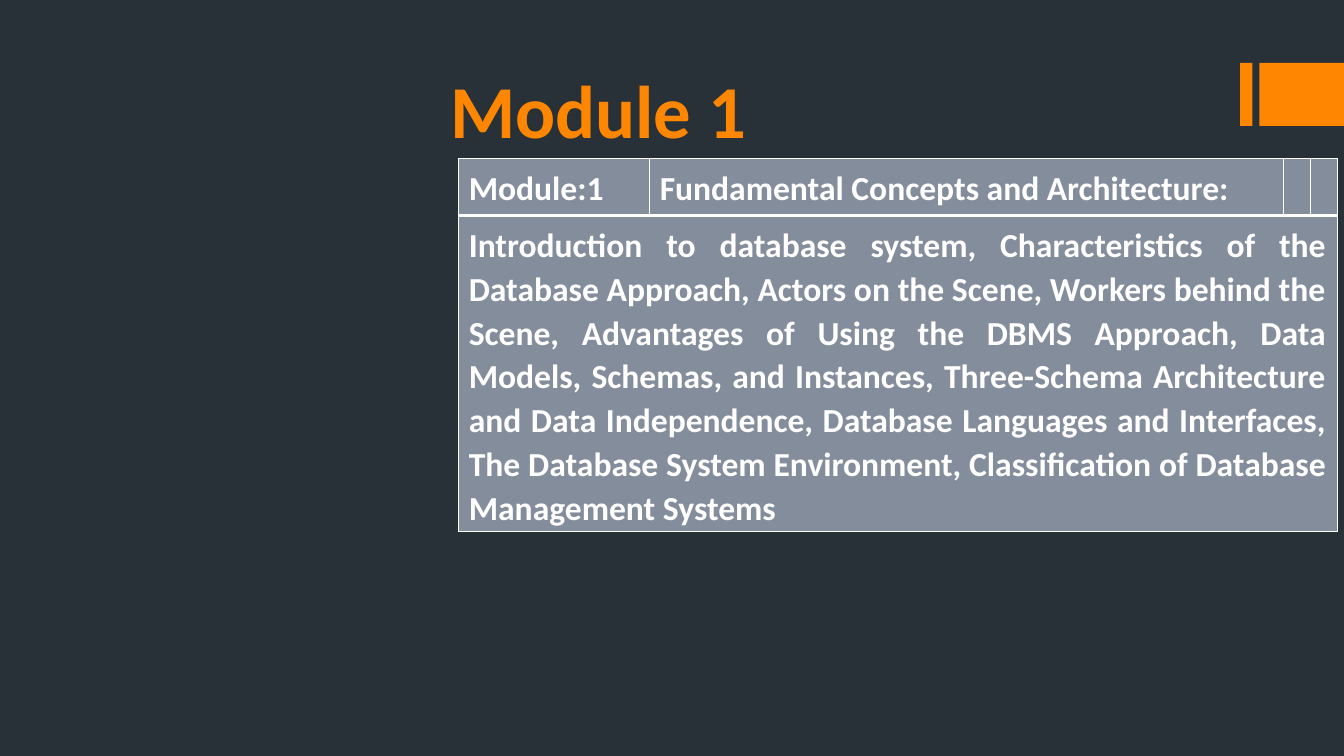
import pptx
import pptx.dml.color
import pptx.enum.shapes
import pptx.enum.text
import pptx.oxml.ns
import pptx.util
from lxml import etree
from pptx.util import Cm

COLORS = {
    "background": "283138",
    "accent": "FF8600",
    "cell": "838D9B",
    "white": "FFFFFF",
}
FONT = "Calibri"
ALIGN = pptx.enum.text.PP_ALIGN


def rgb(name):
    return pptx.dml.color.RGBColor.from_string(COLORS[name])


def add_border(cell, side, width):
    properties = cell._tc.get_or_add_tcPr()
    line = etree.SubElement(properties, pptx.oxml.ns.qn("a:ln" + side),
                            w=str(pptx.util.Pt(width)))
    fill = etree.SubElement(line, pptx.oxml.ns.qn("a:solidFill"))
    etree.SubElement(fill, pptx.oxml.ns.qn("a:srgbClr"), val=COLORS["white"])


presentation = pptx.Presentation()
presentation.slide_width = Cm(25.4)
presentation.slide_height = Cm(14.29)
slide = presentation.slides.add_slide(presentation.slide_layouts[6])
slide.background.fill.solid()
slide.background.fill.fore_color.rgb = rgb("background")

# Accent bars at the right edge
for left, width in ((23.44, 0.23), (23.8, 1.6)):
    bar = slide.shapes.add_shape(pptx.enum.shapes.MSO_SHAPE.RECTANGLE,
                                 Cm(left), Cm(1.19), Cm(width), Cm(1.19))
    bar.shadow.inherit = False
    bar.fill.solid()
    bar.fill.fore_color.rgb = rgb("accent")
    bar.line.fill.background()

# Title
title = slide.shapes.add_textbox(Cm(8.26), Cm(0.61), Cm(17.14), Cm(2.41))
title.text_frame.word_wrap = True
title.text_frame.vertical_anchor = pptx.enum.text.MSO_ANCHOR.BOTTOM
paragraph = title.text_frame.paragraphs[0]
paragraph.text = "Module 1"
paragraph.font.name = FONT
paragraph.font.size = pptx.util.Pt(40)
paragraph.font.bold = True
paragraph.font.color.rgb = rgb("accent")

# Syllabus table: heading row above one merged row of topics
column_widths = (3.61, 11.99, 0.51, 0.48)
row_heights = (0.91, 5.82)
rows = (
    ("Module:1", "Fundamental Concepts and Architecture:", "", ""),
    ("Introduction to database system, Characteristics of the Database "
     "Approach, Actors on the Scene, Workers behind the Scene, Advantages of "
     "Using the DBMS Approach, Data Models, Schemas, and Instances, "
     "Three-Schema Architecture and Data Independence, Database Languages and "
     "Interfaces, The Database System Environment, Classification of Database "
     "Management Systems", "", "", ""),
)
table = slide.shapes.add_table(len(rows), len(column_widths), Cm(8.66), Cm(3),
                               Cm(sum(column_widths)),
                               Cm(sum(row_heights))).table
for column, width in zip(table.columns, column_widths):
    column.width = Cm(width)
for row, height in zip(table.rows, row_heights):
    row.height = Cm(height)
table.cell(1, 0).merge(table.cell(1, 3))

# Lines are thin, except the one between the two rows
thin, thick = 0.45, 1.47
for row_index, texts in enumerate(rows):
    top, bottom = (thin, thick) if row_index == 0 else (thick, thin)
    for column_index, text in enumerate(texts):
        cell = table.cell(row_index, column_index)
        for side, width in (("L", thin), ("R", thin), ("T", top), ("B", bottom)):
            add_border(cell, side, width)
        cell.fill.solid()
        cell.fill.fore_color.rgb = rgb("cell")
        cell.margin_left = cell.margin_right = Cm(0.2)
        cell.margin_top = cell.margin_bottom = Cm(0.13)
        paragraph = cell.text_frame.paragraphs[0]
        paragraph.text = text
        paragraph.alignment = ALIGN.JUSTIFY
        paragraph.line_spacing = 1.07
        paragraph.font.name = FONT
        paragraph.font.size = pptx.util.Pt(18)
        paragraph.font.bold = True
        paragraph.font.color.rgb = rgb("white")

presentation.save("out.pptx")
